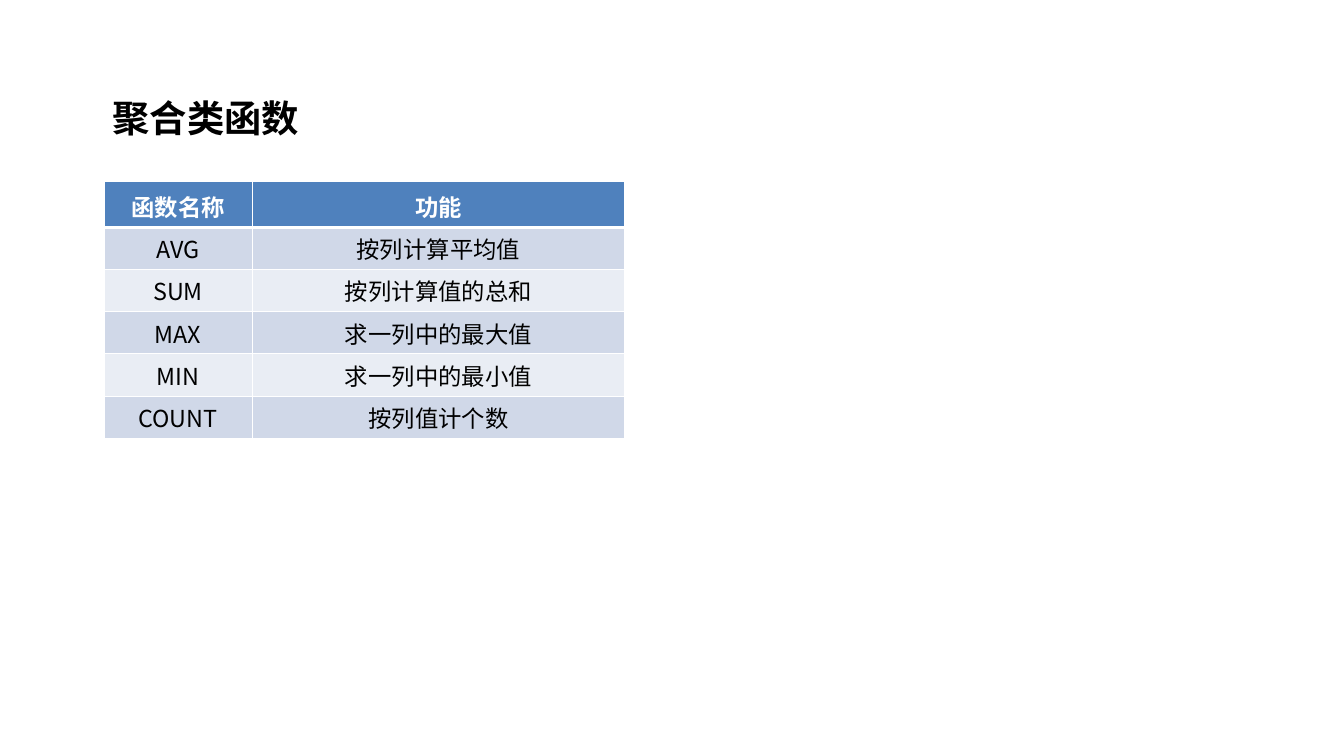
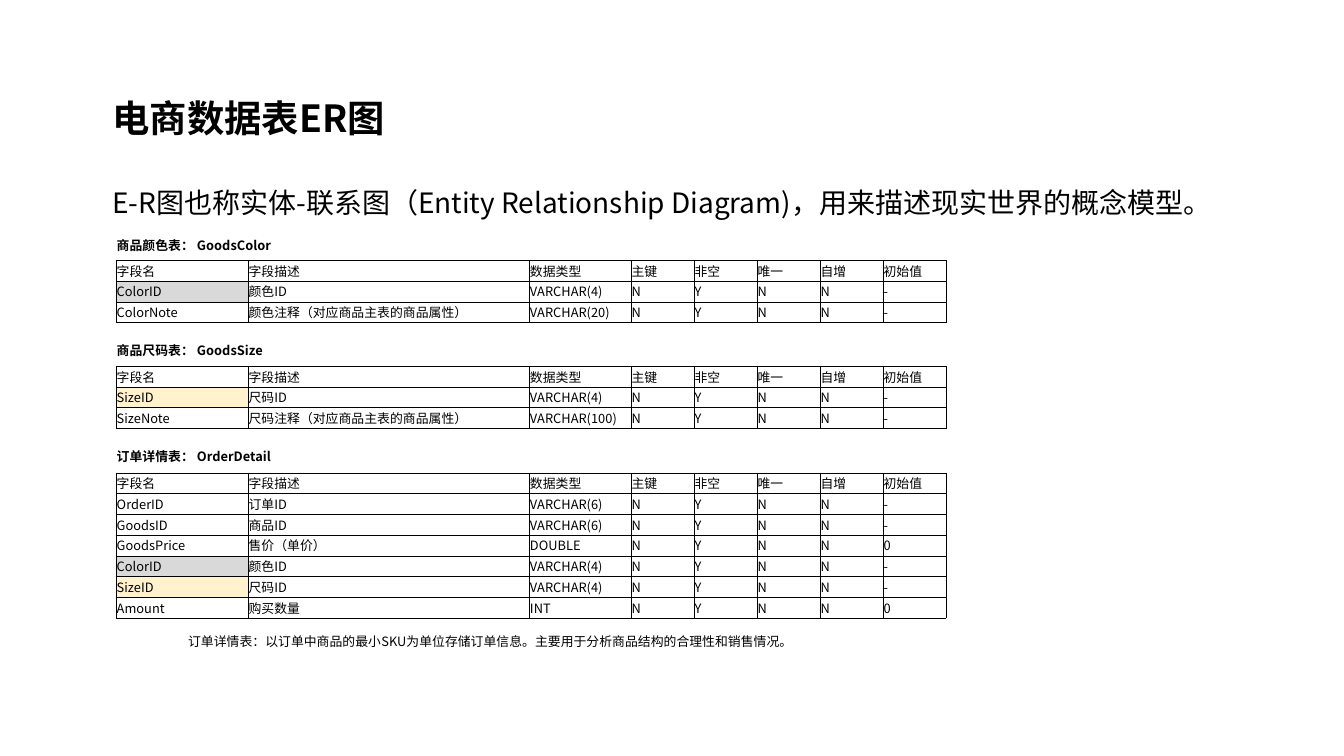
import pptx
import pptx.dml.color
import pptx.enum.text
import pptx.oxml
import pptx.oxml.ns
import pptx.util
from lxml import etree

Inches, Pt = pptx.util.Inches, pptx.util.Pt
ALIGN, ANCHOR = pptx.enum.text.PP_ALIGN, pptx.enum.text.MSO_ANCHOR
qn = pptx.oxml.ns.qn

FONT = "Noto Sans CJK SC"
NO_STYLE = "{2D5ABB26-0587-4C30-8999-92F81FD0307C}"
COLORS = {
    "ink": "000000", "paper": "FFFFFF", "header": "4F81BD",
    "odd": "D0D8E8", "even": "E9EDF4", "color": "D9D9D9", "size": "FFF2CC",
}

FUNCTIONS = [
    ("函数名称", "功能"),
    ("AVG", "按列计算平均值"),
    ("SUM", "按列计算值的总和"),
    ("MAX", "求一列中的最大值"),
    ("MIN", "求一列中的最小值"),
    ("COUNT", "按列值计个数"),
]
FUNCTION_COLUMNS = [1.76, 4.44]

ER_INTRO = "E-R图也称实体-联系图（Entity Relationship Diagram)，用来描述现实世界的概念模型。"
FIELD_HEADS = ("字段名", "字段描述", "数据类型", "主键", "非空", "唯一", "自增", "初始值")
FIELD_COLUMNS = [1.57, 3.35, 1.21] + [0.75] * 5
FIELD_FLAGS = ("N", "Y", "N", "N")
KEY_FILLS = {"ColorID": "color", "SizeID": "size"}
# caption, caption width, caption top, fields top, fields (name, description, type, default)
ENTITIES = [
    ("商品颜色表： GoodsColor", 2.2, 2.79, 3.1, [
        ("ColorID", "颜色ID", "VARCHAR(4)", "-"),
        ("ColorNote", "颜色注释（对应商品主表的商品属性）", "VARCHAR(20)", "-"),
    ]),
    ("商品尺码表： GoodsSize", 2.52, 4.04, 4.36, [
        ("SizeID", "尺码ID", "VARCHAR(4)", "-"),
        ("SizeNote", "尺码注释（对应商品主表的商品属性）", "VARCHAR(100)", "-"),
    ]),
    ("订单详情表： OrderDetail", 2.52, 5.31, 5.63, [
        ("OrderID", "订单ID", "VARCHAR(6)", "-"),
        ("GoodsID", "商品ID", "VARCHAR(6)", "-"),
        ("GoodsPrice", "售价（单价）", "DOUBLE", "0"),
        ("ColorID", "颜色ID", "VARCHAR(4)", "-"),
        ("SizeID", "尺码ID", "VARCHAR(4)", "-"),
        ("Amount", "购买数量", "INT", "0"),
    ]),
]
ORDER_NOTE = "订单详情表：以订单中商品的最小SKU为单位存储订单信息。主要用于分析商品结构的合理性和销售情况。"

MARGIN, FIELD_LEFT = 1.24, 1.38
FIELD_ROW = Pt(17.8)


def rgb(name):
    return pptx.dml.color.RGBColor.from_string(COLORS[name])


def write(frame, text, size, color="ink", bold=False, align=ALIGN.LEFT, spacing=1.0):
    paragraph = frame.paragraphs[0]
    paragraph.alignment, paragraph.line_spacing = align, spacing
    run = paragraph.add_run()
    run.text = text
    run.font.size, run.font.bold, run.font.name = Pt(size), bold, FONT
    run.font.color.rgb = rgb(color)
    etree.SubElement(run.font._element, qn("a:ea"), typeface=FONT)


def add_titled_slide(deck, title):
    slide = deck.slides.add_slide(deck.slide_layouts[5])
    heading = slide.shapes.title
    heading.left, heading.top = Inches(MARGIN), Inches(1.08)
    heading.width, heading.height = Inches(7.18), Inches(0.64)
    heading.text_frame.vertical_anchor = ANCHOR.TOP
    write(heading.text_frame, title, 32, bold=True)
    return slide


def draw_borders(cell, color, widths):
    """Widths are points for the left, right, top and bottom edge."""
    for edge, width in zip("LRTB", widths):
        line = etree.SubElement(cell._tc.get_or_add_tcPr(), qn("a:ln" + edge), w=str(Pt(width)))
        fill = etree.SubElement(line, qn("a:solidFill"))
        etree.SubElement(fill, qn("a:srgbClr"), val=COLORS[color])


def add_plain_table(slide, left, top, columns, row_heights):
    table = slide.shapes.add_table(
        len(row_heights), len(columns), Inches(left), Inches(top),
        Inches(sum(columns)), sum(row_heights)).table
    table.first_row = table.horz_banding = False
    table._tbl.tblPr.find(qn("a:tableStyleId")).text = NO_STYLE
    for column, width in zip(table.columns, columns):
        column.width = Inches(width)
    for row, height in zip(table.rows, row_heights):
        row.height = height
    return table


def write_field(cell, text, bold=False):
    cell.margin_left = cell.margin_right = cell.margin_top = Inches(0.01)
    cell.margin_bottom = Inches(0.05)
    cell.vertical_anchor = ANCHOR.MIDDLE
    write(cell.text_frame, text, 11, bold=bold)


def add_label(slide, text, left, top, width, height=FIELD_ROW, bold=False):
    write_field(add_plain_table(slide, left, top, [width], [height]).cell(0, 0), text, bold)


def add_field_table(slide, top, fields):
    rows = [FIELD_HEADS] + [field[:3] + FIELD_FLAGS + field[3:] for field in fields]
    table = add_plain_table(slide, FIELD_LEFT, top, FIELD_COLUMNS, [FIELD_ROW] * len(rows))
    for r, row in enumerate(rows):
        for c, text in enumerate(row):
            cell = table.cell(r, c)
            write_field(cell, text)
            draw_borders(cell, "ink", [0.5] * 4)
            if text in KEY_FILLS:
                cell.fill.solid()
                cell.fill.fore_color.rgb = rgb(KEY_FILLS[text])


def build_functions(deck):
    slide = add_titled_slide(deck, "聚合类函数")
    heights = [Inches(0.47)] + [Inches(0.43)] * (len(FUNCTIONS) - 1)
    table = add_plain_table(slide, MARGIN, 2.16, FUNCTION_COLUMNS, heights)
    for r, row in enumerate(FUNCTIONS):
        head = r == 0
        fill = "header" if head else ("even", "odd")[r % 2]
        for c, text in enumerate(row):
            cell = table.cell(r, c)
            write(cell.text_frame, text, 20, "paper" if head else "ink", head,
                  ALIGN.CENTER, 1.1 if head else 1.0)
            draw_borders(cell, "paper", [1, 1, 3 if r == 1 else 1, 3 if head else 1])
            cell.fill.solid()
            cell.fill.fore_color.rgb = rgb(fill)


def build_er_diagram(deck):
    slide = add_titled_slide(deck, "电商数据表ER图")
    intro = slide.shapes.add_textbox(Inches(MARGIN), Inches(2.04), Inches(13.7), Inches(0.67))
    intro.text_frame.word_wrap = True
    write(intro.text_frame, ER_INTRO, 24, spacing=1.3)
    for caption, width, caption_top, fields_top, fields in ENTITIES:
        add_label(slide, caption, FIELD_LEFT, caption_top, width, bold=True)
        add_field_table(slide, fields_top, fields)
    add_label(slide, ORDER_NOTE, 2.23, 7.43, 7.6, Inches(0.44))


def main():
    deck = pptx.Presentation()
    deck.slide_width, deck.slide_height = Inches(16), Inches(9)
    build_functions(deck)
    build_er_diagram(deck)
    deck.save("out.pptx")


if __name__ == "__main__":
    main()
